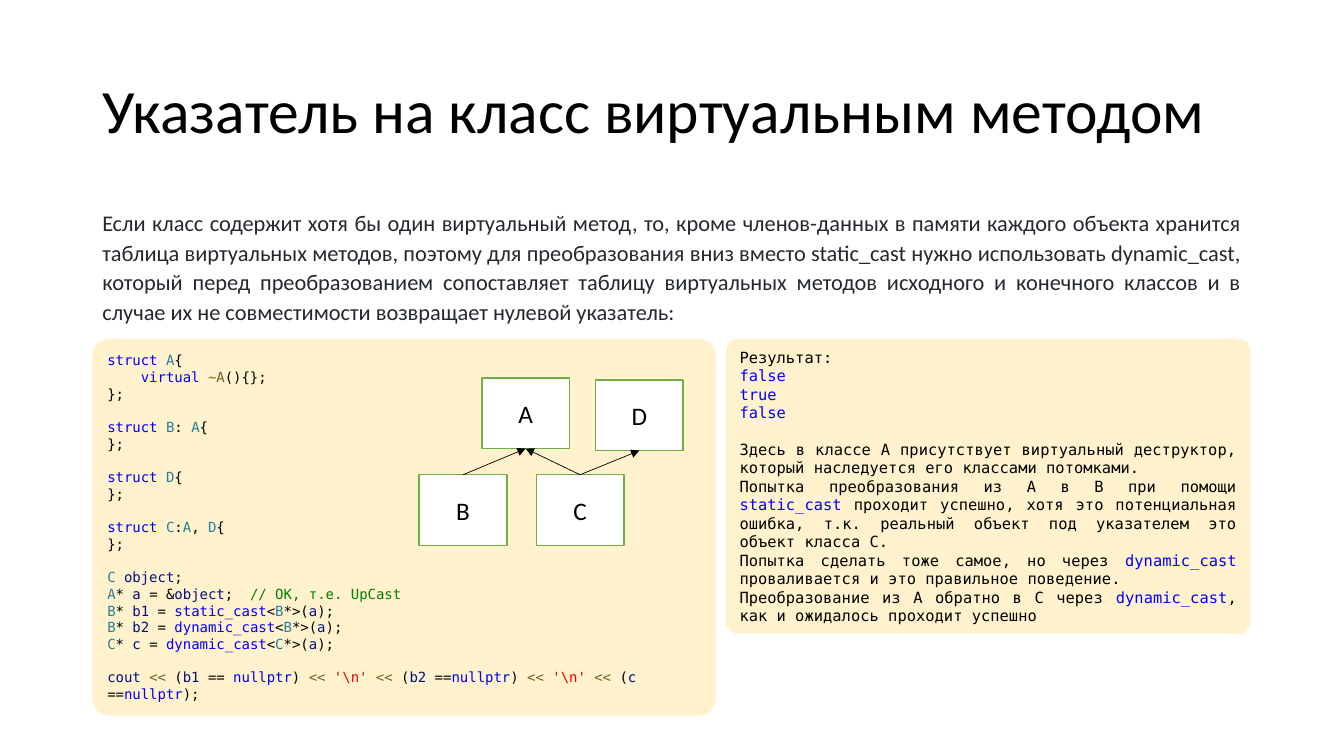
from lxml import etree
from pptx import Presentation
from pptx import util as u
from pptx.dml.color import RGBColor
from pptx.enum import shapes, text
from pptx.oxml.ns import qn

COLUMNS, ROWS = 160, 90
SANS, MONO = "Calibri", "DejaVu Sans Mono"
SYNTAX = {"text": "000000", "key": "0000FF", "type": "267F99", "op": "795E26",
          "var": "001080", "note": "008000", "quote": "A31515", "esc": "EE0000"}


def colour(value):
    return RGBColor.from_string(value)


def apply(target, formats):
    for name, value in formats.items():
        setattr(target, name, value)


class Lesson:
    panel_fill, box_fill, box_line, arrow = "FFF2CC", "FFFFFF", "70AD47", "000000"

    def __init__(self, deck):
        self.slide = deck.slides.add_slide(deck.slide_layouts[6])
        self.column = deck.slide_width / COLUMNS
        self.row = deck.slide_height / ROWS

    def place(self, left, top, width, height):
        return (int(left * self.column), int(top * self.row),
                int(width * self.column), int(height * self.row))

    def words(self, paragraph, content, size, font, shade):
        run = paragraph.add_run()
        run.text = content
        apply(run.font, {"size": u.Pt(size), "name": font})
        run.font.color.rgb = colour(shade)

    def prose(self, area, content, size, shade, anchor, formats):
        frame = self.slide.shapes.add_textbox(*self.place(*area)).text_frame
        apply(frame, {"word_wrap": True, "vertical_anchor": anchor})
        apply(frame.paragraphs[0], formats)
        self.words(frame.paragraphs[0], content, size, SANS, shade)

    def block(self, kind, area, fill):
        block = self.slide.shapes.add_shape(kind, *self.place(*area))
        block.shadow.inherit = False
        block.fill.solid()
        block.fill.fore_color.rgb = colour(fill)
        block.line.fill.background()
        apply(block.text_frame, {"word_wrap": True, "vertical_anchor": text.MSO_ANCHOR.MIDDLE})
        return block

    def panel(self, area, groups, size, gap, justified_from=None):
        panel = self.block(shapes.MSO_SHAPE.ROUNDED_RECTANGLE, area, self.panel_fill)
        panel.adjustments[0] = 0.045
        frame = panel.text_frame
        paragraph = frame.paragraphs[0]
        for number, group in enumerate(groups):
            justified = justified_from is not None and number >= justified_from
            for position, line in enumerate(group):
                if number or position:
                    paragraph = frame.add_paragraph()
                apply(paragraph, {
                    "alignment": text.PP_ALIGN.JUSTIFY if justified else text.PP_ALIGN.LEFT,
                    "space_before": u.Pt(gap if number and not position else 0)})
                for piece in line.split("|"):
                    role, _, content = piece.partition(":")
                    self.words(paragraph, content, size, MONO, SYNTAX[role])

    def class_box(self, name, left, top):
        box = self.block(shapes.MSO_SHAPE.RECTANGLE, (left, top, 10.44, 8.4), self.box_fill)
        box.line.color.rgb = colour(self.box_line)
        box.line.width = u.Pt(1)
        paragraph = box.text_frame.paragraphs[0]
        paragraph.alignment = text.PP_ALIGN.CENTER
        self.words(paragraph, name, 18, SANS, "000000")
        return box

    def inherits(self, child, parent):
        link = self.slide.shapes.add_connector(shapes.MSO_CONNECTOR.STRAIGHT, 0, 0, 0, 0)
        link.begin_connect(child, 0)
        link.end_connect(parent, 2)
        link.line.color.rgb = colour(self.arrow)
        link.line.width = u.Pt(0.5)
        properties = link._element.spPr
        etree.SubElement(properties.find(qn("a:ln")), qn("a:tailEnd"), type="triangle")
        etree.SubElement(properties, qn("a:effectLst"))


NEW_LINE = r"|op:<< |quote:'|esc:\n|quote:' |op:<<|"

CODE = [
    ["key:struct |type:A|text:{", "text:    |key:virtual |op:~A|text:(){};", "text:};"],
    ["key:struct |type:B|text:: |type:A|text:{", "text:};"],
    ["key:struct |type:D|text:{", "text:};"],
    ["key:struct |type:C|text::|type:A|text:, |type:D|text:{", "text:};"],
    ["type:C |var:object|text:;",
     "type:A|text:* |var:a|text: = &|var:object|text:;|note:  // OK, т.е. UpCast"]
    + [f"type:{kind}|text:* |var:{name}|text: = |key:{cast}_cast|text:<|type:{kind}|text:*>(|var:a|text:);"
       for kind, name, cast in (("B", "b1", "static"), ("B", "b2", "dynamic"), ("C", "c", "dynamic"))],
    ["var:cout |op:<<|" + NEW_LINE.join(
        f"text: (|var:{name}|text: {equals}|key:nullptr|text:){end}"
        for name, equals, end in (("b1", "== ", " "), ("b2", "==", " "), ("c", "==", ";")))],
]

RESULT = [
    ["text:Результат:", "key:false", "key:true", "key:false"],
    ["text:Здесь в классе A присутствует виртуальный деструктор, который наследуется его классами потомками.",
     "text:Попытка преобразования из A в B при помощи |key:static_cast|text: проходит успешно, хотя это "
     "потенциальная ошибка, т.к. реальный объект под указателем это объект класса C.",
     "text:Попытка сделать тоже самое, но через |key:dynamic_cast|text: проваливается и это правильное поведение.",
     "text:Преобразование из A обратно в C через |key:dynamic_cast|text:, как и ожидалось проходит успешно"],
]

EXPLANATION = (
    "Если класс содержит хотя бы один виртуальный метод, то, кроме членов-данных в памяти каждого объекта "
    "хранится таблица виртуальных методов, поэтому для преобразования вниз вместо static_cast нужно "
    "использовать dynamic_cast, который перед преобразованием сопоставляет таблицу виртуальных методов "
    "исходного и конечного классов и в случае их не совместимости возвращает нулевой указатель:")


def main():
    deck = Presentation()
    apply(deck, {"slide_width": u.Inches(13.33), "slide_height": u.Inches(7.5)})
    lesson = Lesson(deck)
    lesson.prose((11, 4.8, 138, 17.4), "Указатель на класс виртуальным методом", 44, "000000",
                 text.MSO_ANCHOR.MIDDLE, {"line_spacing": 0.9})
    lesson.prose((11, 24, 138, 16), EXPLANATION, 16, "24292F", text.MSO_ANCHOR.TOP,
                 {"line_spacing": 1.1, "alignment": text.PP_ALIGN.JUSTIFY})
    lesson.panel((11, 40.32, 74.2, 44.88), CODE, 10, 11.64)
    lesson.panel((86.4, 40.32, 62.5, 35.16), RESULT, 11, 12.8, justified_from=1)
    places = {"B": (49.9, 56.52), "D": (70.9, 45.24), "A": (57.36, 45), "C": (63.84, 56.52)}
    boxes = {name: lesson.class_box(name, *spot) for name, spot in places.items()}
    for child, parent in ("BA", "CD", "CA"):
        lesson.inherits(boxes[child], boxes[parent])
    deck.save("out.pptx")


if __name__ == "__main__":
    main()
